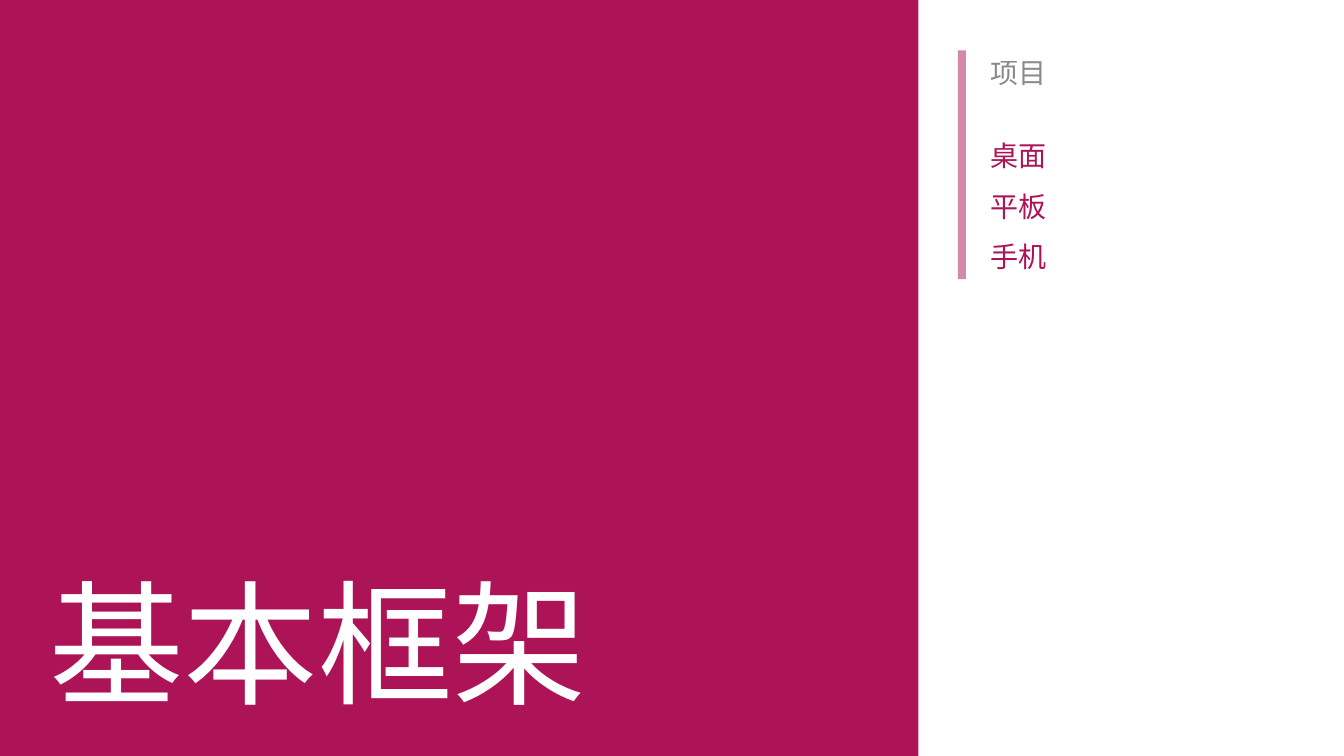
from lxml import etree
from pptx import Presentation
from pptx.dml.color import RGBColor
from pptx.enum.shapes import MSO_SHAPE
from pptx.enum.text import MSO_AUTO_SIZE
from pptx.oxml.ns import qn
from pptx.util import Inches, Pt

RECTANGLE = MSO_SHAPE.RECTANGLE
FIT_SHAPE = MSO_AUTO_SIZE.SHAPE_TO_FIT_TEXT
MAGENTA = RGBColor(0xAD, 0x14, 0x57)
WHITE = RGBColor(0xFF, 0xFF, 0xFF)
BLACK = RGBColor(0x00, 0x00, 0x00)
FONT = "Roboto"

deck = Presentation()
deck.slide_width = Inches(13.33)
deck.slide_height = Inches(7.5)
page = deck.slides.add_slide(deck.slide_layouts[6])


def set_opacity(element, percent):
    color = next(element.iter(qn("a:srgbClr")))
    etree.SubElement(color, qn("a:alpha"), val=str(percent * 1000))


def add_label(text, left, top, width, height, size, color):
    box = page.shapes.add_textbox(
        Inches(left), Inches(top), Inches(width), Inches(height))
    frame = box.text_frame
    frame.text = text
    frame.word_wrap = False
    frame.auto_size = FIT_SHAPE
    span = frame.paragraphs[0].runs[0]
    span.font.size = Pt(size)
    span.font.name = FONT
    span.font.color.rgb = color
    etree.SubElement(span.font._element, qn("a:ea"), typeface=FONT)
    return box


# Title panel and the bar beside the list
margin = 0.5
panels = []
for left, top, width, height in [(0, 0, 9.11, 7.5), (9.5, margin, 0.08, 2.27)]:
    panel = page.shapes.add_shape(
        RECTANGLE, Inches(left), Inches(top), Inches(width), Inches(height))
    panel.shadow.inherit = False
    panel.fill.solid()
    panel.fill.fore_color.rgb = MAGENTA
    panel.line.fill.background()
    panels.append(panel)
set_opacity(panels[1]._element.spPr, 50)

# Title
add_label("基本框架", 0.39, 5.51, 5.59, 1.72, 96, WHITE)

# List heading and its evenly spaced items
list_left, item_width, item_height = 9.73, 0.76, 0.44
first_item_top, item_step = 1.33, 0.5
heading = add_label("项目", list_left, margin, item_width, item_height, 20, BLACK)
set_opacity(heading._element, 46)
for row, item in enumerate(["桌面", "平板", "手机"]):
    add_label(item, list_left, first_item_top + row * item_step,
              item_width, item_height, 20, MAGENTA)

deck.save("out.pptx")
